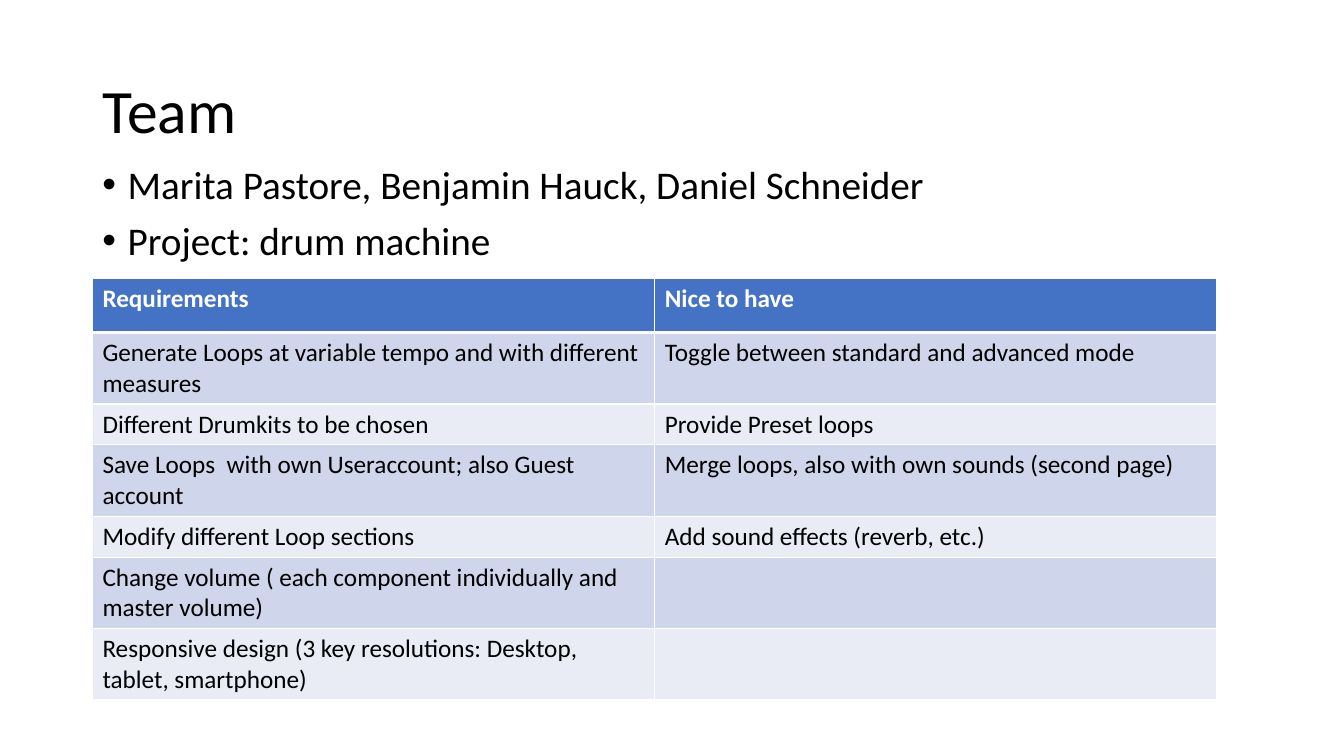
"""Build the team slide with its project requirements table."""
from typing import NamedTuple

from lxml.etree import SubElement
from pptx import Presentation
from pptx.dml.color import RGBColor
from pptx.enum.text import MSO_ANCHOR, MSO_AUTO_SIZE, PP_ALIGN
from pptx.oxml.ns import qn
from pptx.util import Cm, Pt

FONT = "Calibri"
BLACK, WHITE = "000000", "FFFFFF"
HEADER_FILL = "4472C4"
BAND_FILLS = ("CFD5EA", "E9EBF5")
LEFT = Cm(2.33)
COLUMN_WIDTH = Cm(14.17)


class TableRow(NamedTuple):
    requirement: str
    nice_to_have: str
    height: float


HEADER, SINGLE, DOUBLE = 1.37, 1.03, 1.8
ROWS = [
    TableRow("Requirements", "Nice to have", HEADER),
    TableRow("Generate Loops at variable tempo and with different measures",
             "Toggle between standard and advanced mode", DOUBLE),
    TableRow("Different Drumkits to be chosen", "Provide Preset loops", SINGLE),
    TableRow("Save Loops  with own Useraccount; also Guest account",
             "Merge loops, also with own sounds (second page)", DOUBLE),
    TableRow("Modify different Loop sections", "Add sound effects (reverb, etc.)", SINGLE),
    TableRow("Change volume ( each component individually and master volume)", "", DOUBLE),
    TableRow("Responsive design (3 key resolutions: Desktop, tablet, smartphone)", "", DOUBLE),
]
BULLETS = ["Marita Pastore, Benjamin Hauck, Daniel Schneider", "Project: drum machine"]


def color(value: str) -> RGBColor:
    return RGBColor.from_string(value)


def style(paragraph, size: float, ink: str = BLACK, bold: bool = False) -> None:
    font = paragraph.font
    font.name, font.size, font.bold = FONT, Pt(size), bold
    font.color.rgb = color(ink)


def add_title(page, text: str) -> None:
    title = page.shapes.title
    title.left, title.top, title.width, title.height = LEFT, Cm(1.01), Cm(29.21), Cm(3.68)
    frame = title.text_frame
    frame.text = text
    frame.vertical_anchor = MSO_ANCHOR.MIDDLE
    frame.auto_size = MSO_AUTO_SIZE.NONE
    paragraph = frame.paragraphs[0]
    paragraph.alignment = PP_ALIGN.LEFT
    paragraph.line_spacing = 0.9
    style(paragraph, 44)


def add_bullets(page, lines: list[str]) -> None:
    box = page.shapes.add_textbox(LEFT, Cm(4.04), Cm(29.21), Cm(3.07))
    frame = box.text_frame
    frame.word_wrap = True
    frame.text = "\n".join(lines)
    for paragraph in frame.paragraphs:
        paragraph.line_spacing = 0.9
        paragraph.space_before = Pt(10)
        style(paragraph, 28)
        properties = paragraph._p.get_or_add_pPr()
        properties.set("marL", str(Cm(0.64)))
        properties.set("indent", str(Cm(-0.64)))
        bullet_font = properties.makeelement(qn("a:buFont"), {"typeface": "Arial"})
        bullet = properties.makeelement(qn("a:buChar"), {"char": "•"})
        default_run = properties.find(qn("a:defRPr"))
        default_run.addprevious(bullet_font)
        default_run.addprevious(bullet)


def add_borders(cell, bottom_width: float) -> None:
    properties = cell._tc.get_or_add_tcPr()
    widths = {"lnL": 1, "lnR": 1, "lnT": 1, "lnB": bottom_width}
    for side, width in widths.items():
        line = SubElement(properties, qn(f"a:{side}"), w=str(Pt(width)))
        fill = SubElement(line, qn("a:solidFill"))
        SubElement(fill, qn("a:srgbClr"), val=WHITE)


def add_requirements(page, rows: list[TableRow]) -> None:
    total = Cm(sum(row.height for row in rows))
    table = page.shapes.add_table(len(rows), 2, LEFT, Cm(7.01), 2 * COLUMN_WIDTH, total).table
    for column in table.columns:
        column.width = COLUMN_WIDTH
    for index, row in enumerate(rows):
        table.rows[index].height = Cm(row.height)
        is_header = index == 0
        for position, text in enumerate((row.requirement, row.nice_to_have)):
            cell = table.cell(index, position)
            cell.text = text
            style(cell.text_frame.paragraphs[0], 18, WHITE if is_header else BLACK, is_header)
            add_borders(cell, 3 if is_header else 1)
            cell.fill.solid()
            band = BAND_FILLS[(index - 1) % 2]
            cell.fill.fore_color.rgb = color(HEADER_FILL if is_header else band)


def main() -> None:
    deck = Presentation()
    deck.slide_width, deck.slide_height = Cm(33.87), Cm(19.05)
    page = deck.slides.add_slide(deck.slide_layouts[5])
    add_title(page, "Team")
    add_bullets(page, BULLETS)
    add_requirements(page, ROWS)
    deck.save("out.pptx")


main()
